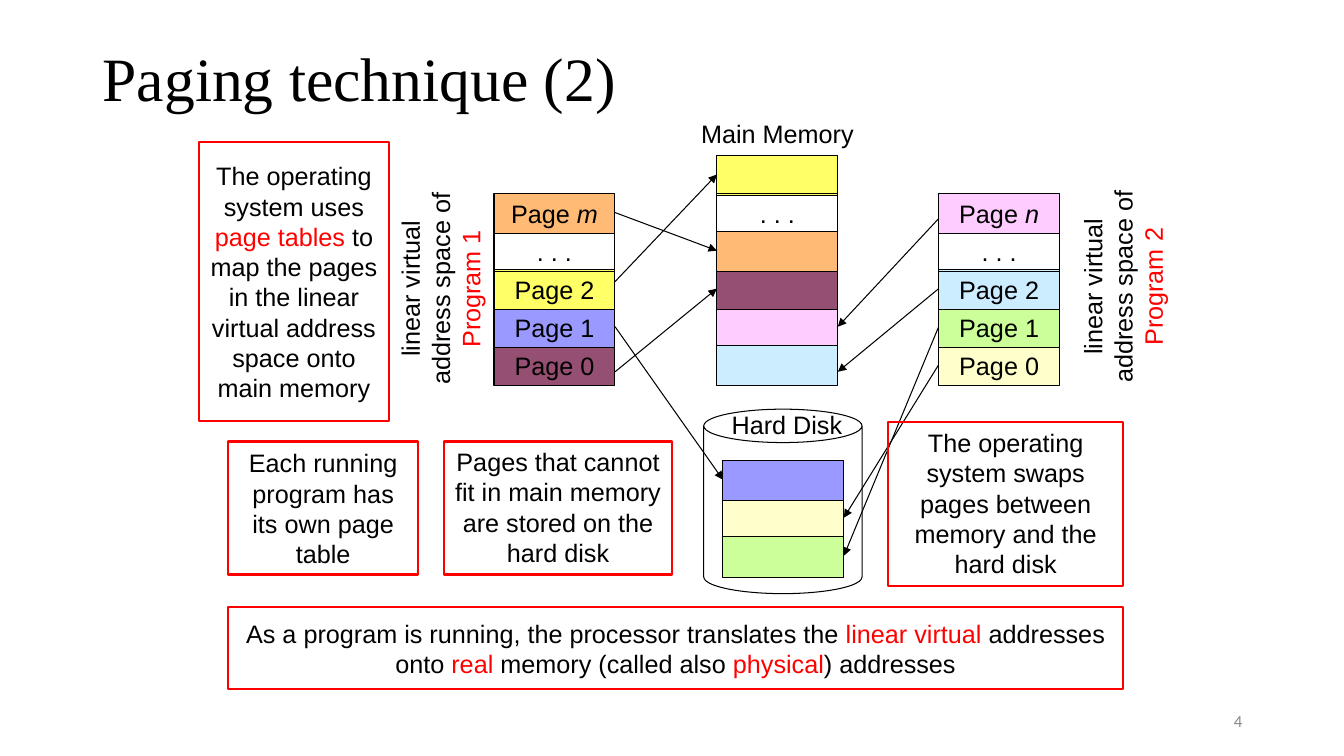
from lxml import etree
from pptx import Presentation, util as u
from pptx.dml.color import RGBColor
from pptx.enum import shapes as kinds, text as txt
from pptx.oxml import ns

BLACK = RGBColor(0x00, 0x00, 0x00)
RED = RGBColor(0xFF, 0x00, 0x00)
GRAY = RGBColor(0x88, 0x88, 0x88)
ORANGE = RGBColor(0xFF, 0xBA, 0x75)
YELLOW = RGBColor(0xFF, 0xFF, 0x66)
VIOLET = RGBColor(0x99, 0x99, 0xFF)
PLUM = RGBColor(0x95, 0x4F, 0x72)
PINK = RGBColor(0xFF, 0xCC, 0xFF)
SKY = RGBColor(0xCC, 0xEC, 0xFF)
LIME = RGBColor(0xCC, 0xFF, 0x99)
CREAM = RGBColor(0xFF, 0xFF, 0xCC)

# Page frames: all stacks share one row grid
PITCH = 1.51 / 4
FRAME_WIDTH, FRAME_HEIGHT = 1.2, 0.4
PROGRAM_TOP = 1.92
MEMORY_TOP = PROGRAM_TOP - PITCH
DISK_TOP = 4.57
PROGRAM_1_LEFT, MEMORY_LEFT, DISK_LEFT, PROGRAM_2_LEFT = 4.9, 7.11, 7.17, 9.31

CENTER, LEFT, RIGHT = txt.PP_ALIGN.CENTER, txt.PP_ALIGN.LEFT, txt.PP_ALIGN.RIGHT
TOP, MIDDLE = txt.MSO_ANCHOR.TOP, txt.MSO_ANCHOR.MIDDLE
DOTS = ". . ."


def write(shape, text, size=18, font="Arial", color=BLACK, align=CENTER,
          anchor=TOP, inset=(0.1, 0.05), spacing=None):
    """Fill a shape with one paragraph; text is a string or (text, color, italic) runs."""
    frame = shape.text_frame
    frame.word_wrap = True
    frame.vertical_anchor = anchor
    frame.margin_left = frame.margin_right = u.Inches(inset[0])
    frame.margin_top = frame.margin_bottom = u.Inches(inset[1])
    paragraph = frame.paragraphs[0]
    paragraph.alignment = align
    if spacing:
        paragraph.line_spacing = spacing
    for words, run_color, italic in [(text, color, False)] if isinstance(text, str) else text:
        run = paragraph.add_run()
        run.text = words
        run.font.name, run.font.size = font, u.Pt(size)
        run.font.color.rgb = run_color
        if italic:
            run.font.italic = True


def label(slide, box, text, rotation=0, **style):
    shape = slide.shapes.add_textbox(*map(u.Inches, box))
    shape.rotation = rotation
    write(shape, text, **style)


def outline(shapes, box, kind=kinds.MSO_SHAPE.RECTANGLE, fill=None, line=BLACK, width=0.75):
    shape = shapes.add_shape(kind, *map(u.Inches, box))
    shape.shadow.inherit = False
    if fill is None:
        shape.fill.background()
    else:
        shape.fill.solid()
        shape.fill.fore_color.rgb = fill
    shape.line.color.rgb = line
    shape.line.width = u.Pt(width)
    return shape


def note(slide, box, text, **style):
    write(outline(slide.shapes, box, line=RED, width=1.5), text, **style)


def stack(slide, left, top, frames, order):
    """Draw (text, fill) frames downwards; they overlap, so order sets which lies on top."""
    group = slide.shapes.add_group_shape()
    for row in order:
        text, fill = frames[row]
        box = (left, top + row * PITCH, FRAME_WIDTH, FRAME_HEIGHT)
        shape = outline(group.shapes, box, fill=fill)
        if text:
            write(shape, text)


def middle(top, row, nudge=0):
    return top + (row + 0.5) * PITCH + nudge


def arrow(slide, start, end):
    connector = slide.shapes.add_connector(
        kinds.MSO_CONNECTOR.STRAIGHT, *map(u.Inches, start + end))
    connector.line.color.rgb = BLACK
    connector.line.width = u.Pt(0.75)
    etree.SubElement(connector.line._get_or_add_ln(), ns.qn("a:tailEnd"), type="triangle")
    etree.SubElement(connector._element.spPr, ns.qn("a:effectLst"))


def program(slide, left, label_box, name, last_page, fills):
    """One program's virtual pages and its upright label."""
    top_page, page_2, page_1, page_0 = fills
    frames = [([("Page ", BLACK, False), (last_page, BLACK, True)], top_page),
              (DOTS, None), ("Page 2", page_2), ("Page 1", page_1), ("Page 0", page_0)]
    stack(slide, left, PROGRAM_TOP, frames, order=range(4, -1, -1))
    label(slide, label_box,
          [("linear virtual address space of ", BLACK, False), (name, RED, False)],
          rotation=270, inset=(0.08, 0.05))


def memory(slide):
    label(slide, (6.67, 1.17, 2.08, 0.31), "Main Memory", anchor=MIDDLE, inset=(0.1, 0))
    frames = [(None, YELLOW), (DOTS, None), (None, ORANGE),
              (None, PLUM), (None, PINK), (None, SKY)]
    stack(slide, MEMORY_LEFT, MEMORY_TOP, frames, order=(4, 5, 3, 0, 1, 2))


def disk(slide, box):
    left, top, width, height = box
    can = outline(slide.shapes, box, kind=kinds.MSO_SHAPE.CAN)
    can.adjustments[0] = 0.211
    frames = [(None, VIOLET), (None, CREAM), (None, LIME)]
    stack(slide, DISK_LEFT, DISK_TOP, frames, order=(1, 2, 0))
    label(slide, (left + 0.13, top, 1.39, 0.31), "Hard Disk", anchor=MIDDLE, inset=(0.1, 0))


def mappings(slide):
    """Arrows from program pages to frames: (page row, nudge, frame row, nudge)."""
    first = PROGRAM_1_LEFT + FRAME_WIDTH
    second = PROGRAM_2_LEFT
    routes = [
        (first, MEMORY_LEFT, MEMORY_TOP,
         [(2, -0.07, 0, 0), (0, 0, 2, 0), (4, 0.07, 3, 0)]),
        (second, MEMORY_LEFT + FRAME_WIDTH, MEMORY_TOP,
         [(0, 0.06, 4, 0), (2, 0, 5, 0.07)]),
        (second, DISK_LEFT + FRAME_WIDTH, DISK_TOP, [(4, 0, 1, 0), (3, 0, 2, 0)]),
        (first, DISK_LEFT, DISK_TOP, [(3, 0, 0, 0)]),
    ]
    for start, end, top, links in routes:
        for page, page_nudge, frame, frame_nudge in links:
            arrow(slide, (start, middle(PROGRAM_TOP, page, page_nudge)),
                  (end, middle(top, frame, frame_nudge)))


def notes(slide):
    note(slide, (1.97, 1.41, 1.89, 2.77),
         [("The operating system uses ", BLACK, False), ("page tables", RED, False),
          (" to map the pages in the linear virtual address space onto main memory",
           BLACK, False)], anchor=MIDDLE)
    note(slide, (2.26, 4.38, 1.89, 1.32),
         "Each running program has its own page table", anchor=MIDDLE)
    note(slide, (4.4, 4.38, 2.27, 1.32),
         "Pages that cannot fit in main memory are stored on the hard disk")
    note(slide, (8.81, 4.19, 2.33, 1.62),
         "The operating system swaps pages between memory and the hard disk",
         inset=(0.04, 0.05))
    note(slide, (2.26, 6.02, 8.88, 0.82),
         [("As a program is running, the processor translates the ", BLACK, False),
          ("linear virtual", RED, False), (" addresses onto ", BLACK, False),
          ("real", RED, False), (" memory (called also ", BLACK, False),
          ("physical", RED, False), (") addresses", BLACK, False)], anchor=MIDDLE)


def main():
    presentation = Presentation()
    presentation.slide_width, presentation.slide_height = u.Inches(13.33), u.Inches(7.5)
    slide = presentation.slides.add_slide(presentation.slide_layouts[6])

    # Title
    label(slide, (0.92, 0.4, 11.5, 0.81), "Paging technique (2)", size=44,
          font="Times New Roman", align=LEFT, anchor=MIDDLE, spacing=0.9)

    # Paging diagram
    program(slide, PROGRAM_1_LEFT, (3.3, 2.36, 2.14, 1.01), "Program 1", "m",
            (ORANGE, YELLOW, VIOLET, PLUM))
    program(slide, PROGRAM_2_LEFT, (10.07, 2.34, 2.14, 1.01), "Program 2", "n",
            (PINK, SKY, LIME, CREAM))
    memory(slide)
    disk(slide, (6.98, 4.06, 1.57, 1.83))
    mappings(slide)

    # Explanations and slide number
    notes(slide)
    label(slide, (9.42, 6.95, 3, 0.4), "4", size=12, font="Calibri", color=GRAY,
          align=RIGHT, anchor=MIDDLE)

    presentation.save("out.pptx")


if __name__ == "__main__":
    main()
